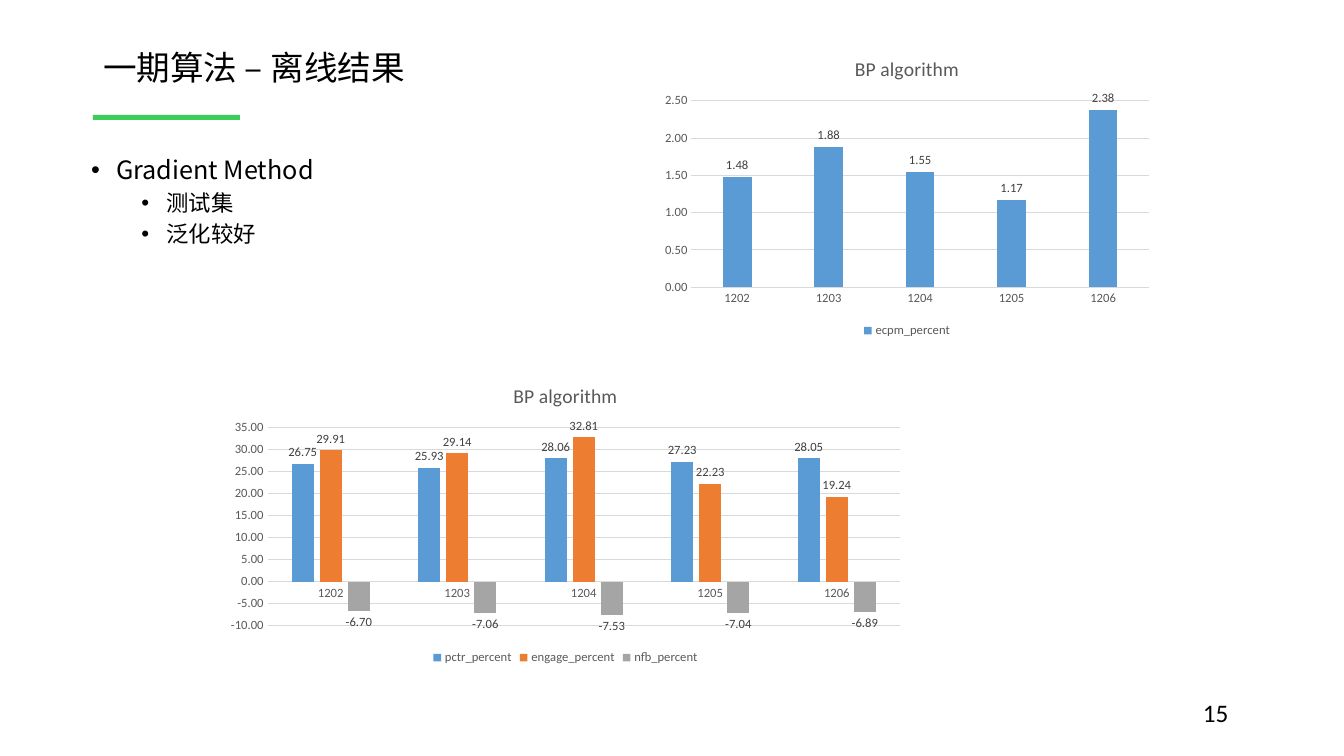
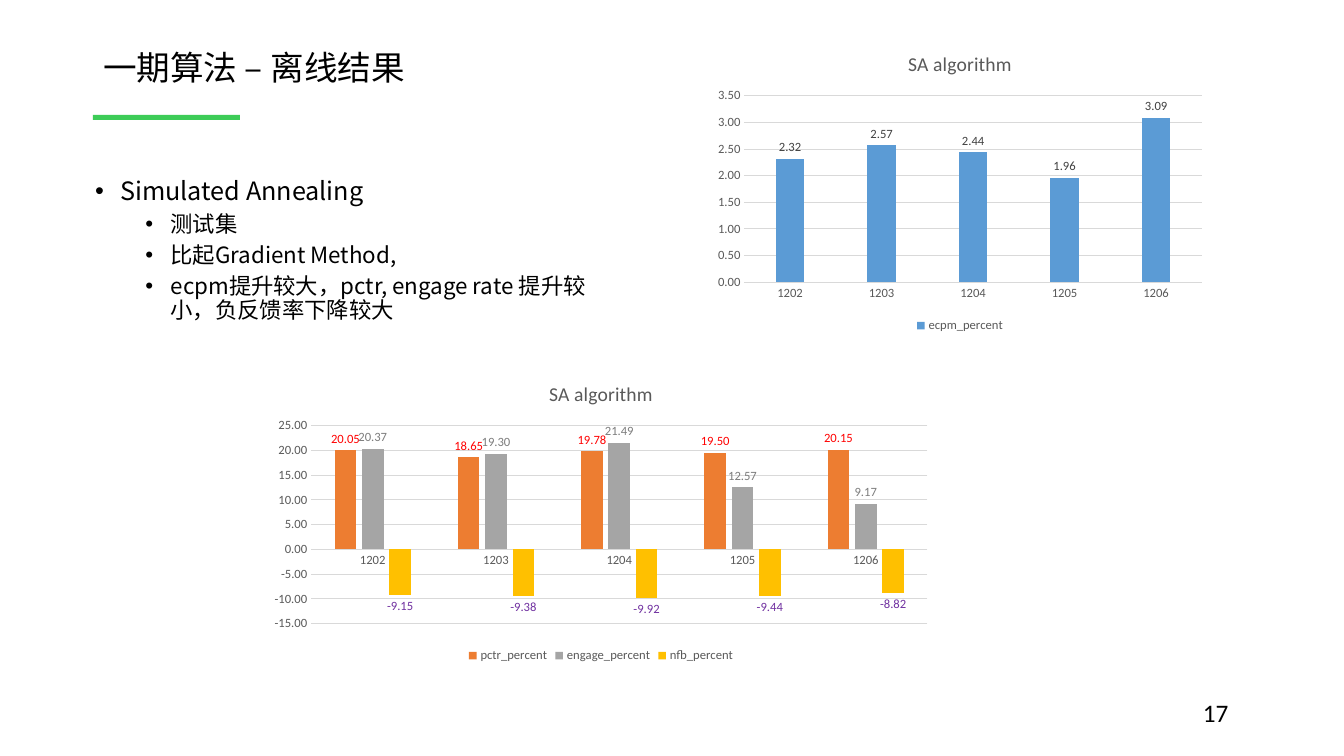
"""Build two slides of offline results, each with a title, bullets and two column charts."""
from dataclasses import dataclass

from lxml.etree import SubElement
from pptx import Presentation
from pptx.chart.data import CategoryChartData
from pptx.dml.color import RGBColor
from pptx.enum.chart import XL_CHART_TYPE, XL_LABEL_POSITION, XL_LEGEND_POSITION, XL_TICK_MARK
from pptx.enum.shapes import MSO_SHAPE
from pptx.enum.text import MSO_ANCHOR, MSO_AUTO_SIZE, PP_ALIGN
from pptx.oxml.ns import qn
from pptx.util import Emu, Inches, Pt

EMU_PER_PIXEL = 914400 / 100.8
COLORS = {
    "text": "000000", "accent": "3DCC57", "muted": "595959", "grid": "D9D9D9",
    "label": "404040", "blue": "5B9BD5", "orange": "ED7D31", "gray": "A5A5A5",
    "gold": "FFC000", "red": "FF0000", "dim": "7C7C7C", "purple": "7030A0",
}
TEXT_FONT = "Noto Sans CJK SC"
NUMBER_FONT = "Calibri"
TWO_DECIMALS = "0.00"
DAYS = ("1202", "1203", "1204", "1205", "1206")
TITLE = "一期算法 – 离线结果"


@dataclass(frozen=True)
class Box:
    left: int
    top: int
    width: int
    height: int


@dataclass(frozen=True)
class Series:
    name: str
    values: tuple[float, ...]
    color: str
    label_color: str = "label"


@dataclass(frozen=True)
class Scale:
    low: float
    high: float
    step: float


@dataclass(frozen=True)
class ColumnChart:
    title: str
    box: Box
    scale: Scale
    series: tuple[Series, ...]


@dataclass(frozen=True)
class ResultPage:
    number: int
    method: str
    findings: tuple[str, ...]
    body: Box
    body_inset: int
    charts: tuple[ColumnChart, ...]


TITLE_BOX = Box(93, 40, 1151, 60)
RULE_BOX = Box(93, 115, 147, 5)
NUMBER_BOX = Box(1193, 692, 50, 40)

PAGES = (
    ResultPage(
        15, "Gradient Method", ("测试集", "泛化较好"), Box(81, 153, 421, 141), 5,
        (
            ColumnChart("BP algorithm", Box(655, 40, 504, 302), Scale(0, 2.5, 0.5), (
                Series("ecpm_percent", (1.48, 1.88, 1.55, 1.17, 2.38), "blue"),
            )),
            ColumnChart("BP algorithm", Box(217, 367, 697, 302), Scale(-10, 35, 5), (
                Series("pctr_percent", (26.75, 25.93, 28.06, 27.23, 28.05), "blue"),
                Series("engage_percent", (29.91, 29.14, 32.81, 22.23, 19.24), "orange"),
                Series("nfb_percent", (-6.70, -7.06, -7.53, -7.04, -6.89), "gray"),
            )),
        ),
    ),
    ResultPage(
        17, "Simulated Annealing",
        ("测试集", "比起Gradient Method,",
         "ecpm提升较大，pctr, engage rate 提升较小，负反馈率下降较大"),
        Box(85, 128, 516, 316), 51,
        (
            ColumnChart("SA algorithm", Box(261, 365, 680, 302), Scale(-15, 25, 5), (
                Series("pctr_percent", (20.05, 18.65, 19.78, 19.50, 20.15), "orange", "red"),
                Series("engage_percent", (20.37, 19.30, 21.49, 12.57, 9.17), "gray", "dim"),
                Series("nfb_percent", (-9.15, -9.38, -9.92, -9.44, -8.82), "gold", "purple"),
            )),
            ColumnChart("SA algorithm", Box(708, 35, 504, 302), Scale(0, 3.5, 0.5), (
                Series("ecpm_percent", (2.32, 2.57, 2.44, 1.96, 3.09), "blue"),
            )),
        ),
    ),
)


def pixels(count: int) -> Emu:
    return Emu(round(count * EMU_PER_PIXEL))


def bounds(box: Box) -> tuple[Emu, Emu, Emu, Emu]:
    return pixels(box.left), pixels(box.top), pixels(box.width), pixels(box.height)


def move(shape, box: Box) -> None:
    shape.left, shape.top, shape.width, shape.height = bounds(box)


def color(name: str) -> RGBColor:
    return RGBColor.from_string(COLORS[name])


def paint(fill, name: str) -> None:
    fill.solid()
    fill.fore_color.rgb = color(name)


def style_font(font, size: float, name: str = "muted", family: str = NUMBER_FONT) -> None:
    font.size = Pt(size)
    font.bold = False
    font.color.rgb = color(name)
    font.name = family


def write(para, text: str, *, size: float, family: str = TEXT_FONT, name: str = "text",
          line_spacing: float | None = None, space_before: float = 0) -> None:
    para.alignment = PP_ALIGN.LEFT
    para.space_before = Pt(space_before)
    if line_spacing:
        para.line_spacing = line_spacing
    span = para.add_run()
    span.text = text
    style_font(span.font, size, name, family)
    SubElement(span.font._element, qn("a:ea"), typeface=family)


def add_bullet(para, text: str, level: int) -> None:
    size, before, margin = ((18, 10, 0.25), (16, 5, 0.75))[level]
    para.level = level
    write(para, text, size=size, line_spacing=0.9, space_before=before)
    properties = para._p.get_or_add_pPr()
    properties.set("marL", str(Inches(margin)))
    properties.set("indent", str(-Inches(0.25)))
    SubElement(properties, qn("a:buFont"), typeface="Arial")
    SubElement(properties, qn("a:buChar"), char="•")


def add_frame(slide, number: int) -> None:
    rule = slide.shapes.add_shape(MSO_SHAPE.RECTANGLE, *bounds(RULE_BOX))
    rule.shadow.inherit = False
    paint(rule.fill, "accent")
    rule.line.fill.background()
    frame = slide.shapes.add_textbox(*bounds(NUMBER_BOX)).text_frame
    frame.word_wrap = False
    write(frame.paragraphs[0], str(number), size=18, family=NUMBER_FONT)


def add_title(slide) -> None:
    title = slide.shapes.title
    move(title, TITLE_BOX)
    title.text_frame.vertical_anchor = MSO_ANCHOR.MIDDLE
    title.text_frame.auto_size = MSO_AUTO_SIZE.NONE
    write(title.text_frame.paragraphs[0], TITLE, size=24, line_spacing=0.9)


def add_body(slide, page: ResultPage) -> None:
    body = slide.placeholders[1]
    move(body, page.body)
    frame = body.text_frame
    frame.auto_size = MSO_AUTO_SIZE.NONE
    frame.margin_top = pixels(page.body_inset)
    add_bullet(frame.paragraphs[0], page.method, 0)
    for finding in page.findings:
        add_bullet(frame.add_paragraph(), finding, 1)


def style_axes(chart, scale: Scale) -> None:
    for axis in (chart.category_axis, chart.value_axis):
        axis.major_tick_mark = axis.minor_tick_mark = XL_TICK_MARK.NONE
        style_font(axis.tick_labels.font, 9)
    days, values = chart.category_axis, chart.value_axis
    values.has_major_gridlines = True
    for line in (days.format.line, values.major_gridlines.format.line):
        paint(line.fill, "grid")
        line.width = Pt(0.75)
    values.format.line.fill.background()
    values.minimum_scale, values.maximum_scale = scale.low, scale.high
    values.major_unit = scale.step
    values.tick_labels.number_format = TWO_DECIMALS
    values.tick_labels.number_format_is_linked = False


def style_series(columns, series: Series) -> None:
    columns.invert_if_negative = False
    paint(columns.format.fill, series.color)
    labels = columns.data_labels
    labels.show_value = True
    labels.position = XL_LABEL_POSITION.OUTSIDE_END
    labels.number_format = TWO_DECIMALS
    labels.number_format_is_linked = False
    style_font(labels.font, 9, series.label_color)


def add_column_chart(slide, column_chart: ColumnChart) -> None:
    data = CategoryChartData(number_format=TWO_DECIMALS)
    data.categories = DAYS
    for series in column_chart.series:
        data.add_series(series.name, series.values)
    chart = slide.shapes.add_chart(
        XL_CHART_TYPE.COLUMN_CLUSTERED, *bounds(column_chart.box), data).chart
    style_font(chart.font, 10, "text")
    chart.has_title = True
    para = chart.chart_title.text_frame.paragraphs[0]
    span = para.add_run()
    span.text = column_chart.title
    style_font(span.font, 14)
    chart.has_legend = True
    chart.legend.position = XL_LEGEND_POSITION.BOTTOM
    chart.legend.include_in_layout = False
    style_font(chart.legend.font, 9)
    style_axes(chart, column_chart.scale)
    plot = chart.plots[0]
    plot.vary_by_categories = False
    plot.gap_width, plot.overlap = 219, -27
    for columns, series in zip(plot.series, column_chart.series):
        style_series(columns, series)


def add_result_page(deck, page: ResultPage) -> None:
    slide = deck.slides.add_slide(deck.slide_layouts[1])
    add_frame(slide, page.number)
    add_title(slide)
    add_body(slide, page)
    for column_chart in page.charts:
        add_column_chart(slide, column_chart)


def main() -> None:
    deck = Presentation()
    deck.slide_width, deck.slide_height = pixels(1344), pixels(756)
    for page in PAGES:
        add_result_page(deck, page)
    deck.save("out.pptx")


main()
